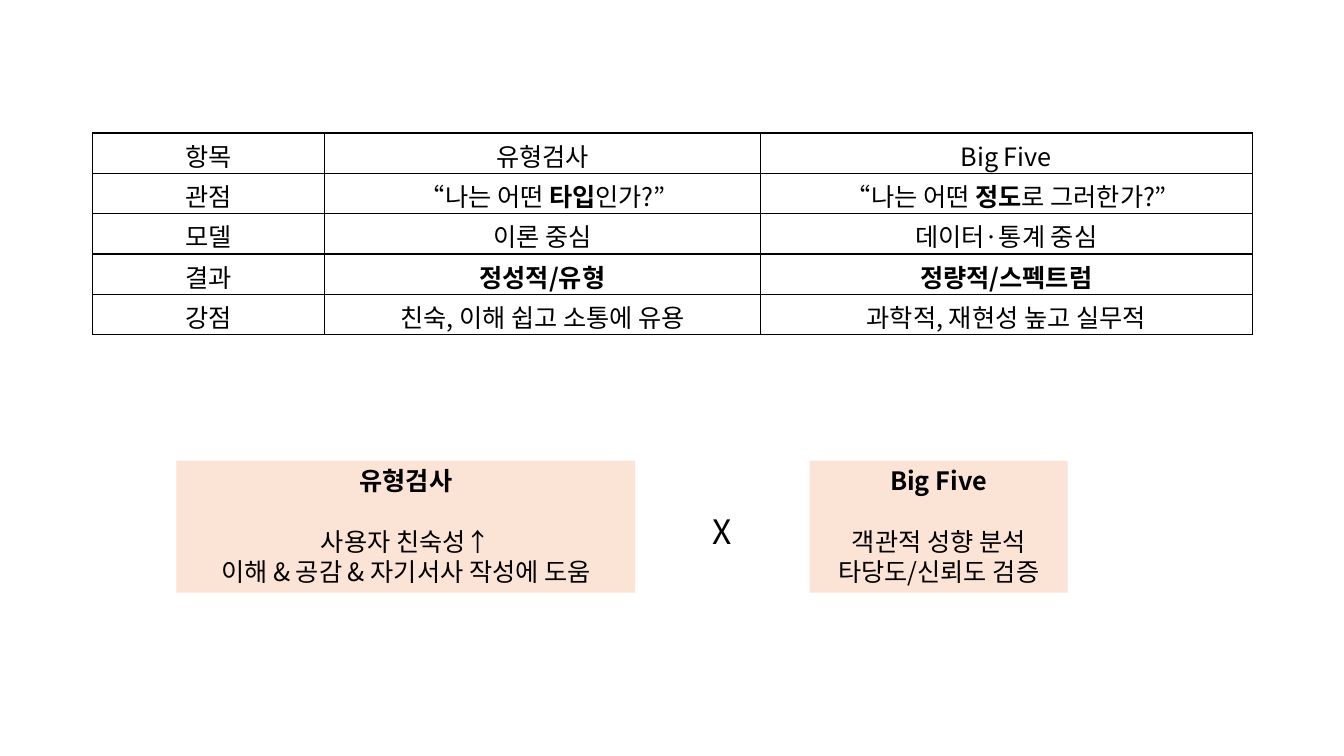
import pptx
import pptx.util
import pptx.dml.color
import pptx.enum.shapes
import pptx.enum.text
import pptx.oxml.ns
from lxml import etree

Inches, Pt = pptx.util.Inches, pptx.util.Pt
Anchor = pptx.enum.text.MSO_ANCHOR
COLORS = {"text": "000000", "border": "000000", "panel": "FBE3D6"}
FONT = "Noto Sans CJK KR"


def rgb(name):
    return pptx.dml.color.RGBColor.from_string(COLORS[name])


def write(paragraph, runs, size, spacing):
    """Fill a centred paragraph with (text, bold) runs."""
    paragraph.alignment = pptx.enum.text.PP_ALIGN.CENTER
    paragraph.line_spacing = Pt(spacing)
    for text, bold in runs:
        run = paragraph.add_run()
        run.text = text
        run.font.size = Pt(size)
        run.font.bold = bold
        run.font.color.rgb = rgb("text")
        run.font.name = FONT
        east_asian = etree.SubElement(run.font._element, pptx.oxml.ns.qn("a:ea"))
        east_asian.set("typeface", FONT)


deck = pptx.Presentation()
deck.slide_width, deck.slide_height = Inches(13.33), Inches(7.5)
slide = deck.slides.add_slide(deck.slide_layouts[6])

# Comparison table
comparison_rows = [
    [[("항목", False)], [("유형검사", False)], [("Big Five", False)]],
    [[("관점", False)],
     [("“나는 어떤 ", False), ("타입", True), ("인가?”", False)],
     [("“나는 어떤 ", False), ("정도", True), ("로 그러한가?”", False)]],
    [[("모델", False)], [("이론 중심", False)], [("데이터·통계 중심", False)]],
    [[("결과", False)], [("정성적/유형", True)], [("정량적/스펙트럼", True)]],
    [[("강점", False)],
     [("친숙, 이해 쉽고 소통에 유용", False)],
     [("과학적, 재현성 높고 실무적", False)]],
]
comparison = slide.shapes.add_table(
    5, 3, Inches(0.92), Inches(1.32), Inches(11.5), Inches(2)).table
comparison.first_row = comparison.horz_banding = False
for column, width in zip(comparison.columns, (2.3, 4.32, 4.88)):
    column.width = Inches(width)

for row, contents in zip(comparison.rows, comparison_rows):
    row.height = Inches(0.4)
    for cell, runs in zip(row.cells, contents):
        cell.vertical_anchor = Anchor.BOTTOM
        cell.margin_top = cell.margin_bottom = 0
        write(cell.text_frame.paragraphs[0], runs, 18, 26)
        # Borders come before the fill in the cell properties
        properties = cell._tc.get_or_add_tcPr()
        for side in ("lnL", "lnR", "lnT", "lnB"):
            border = etree.SubElement(properties, pptx.oxml.ns.qn(f"a:{side}"), w="12700")
            line_fill = etree.SubElement(border, pptx.oxml.ns.qn("a:solidFill"))
            etree.SubElement(line_fill, pptx.oxml.ns.qn("a:srgbClr"), val=COLORS["border"])
        cell.fill.background()

# Panels on what each test contributes
panels = [
    (1.75, 4.55, ["유형검사", "사용자 친숙성↑", "이해 & 공감 & 자기서사 작성에 도움"]),
    (8.03, 2.56, ["Big Five", "객관적 성향 분석", "타당도/신뢰도 검증"]),
]
for left, width, lines in panels:
    panel = slide.shapes.add_shape(
        pptx.enum.shapes.MSO_SHAPE.RECTANGLE,
        Inches(left), Inches(4.57), Inches(width), Inches(1.31))
    panel.shadow.inherit = False
    panel.fill.solid()
    panel.fill.fore_color.rgb = rgb("panel")
    panel.line.fill.background()
    panel.text_frame.word_wrap = True
    panel.text_frame.vertical_anchor = Anchor.TOP
    for index, line in enumerate(lines):
        paragraph = panel.text_frame.paragraphs[0] if index == 0 else panel.text_frame.add_paragraph()
        write(paragraph, [(line, index == 0)], 18, 21.6)
        if index == 1:
            paragraph.space_before = Pt(21.6)

# Cross between the panels
cross = slide.shapes.add_textbox(Inches(6.77), Inches(5.02), Inches(0.79), Inches(0.5))
cross.text_frame.word_wrap = True
write(cross.text_frame.paragraphs[0], [("X", False)], 24, 28.8)

deck.save("out.pptx")
